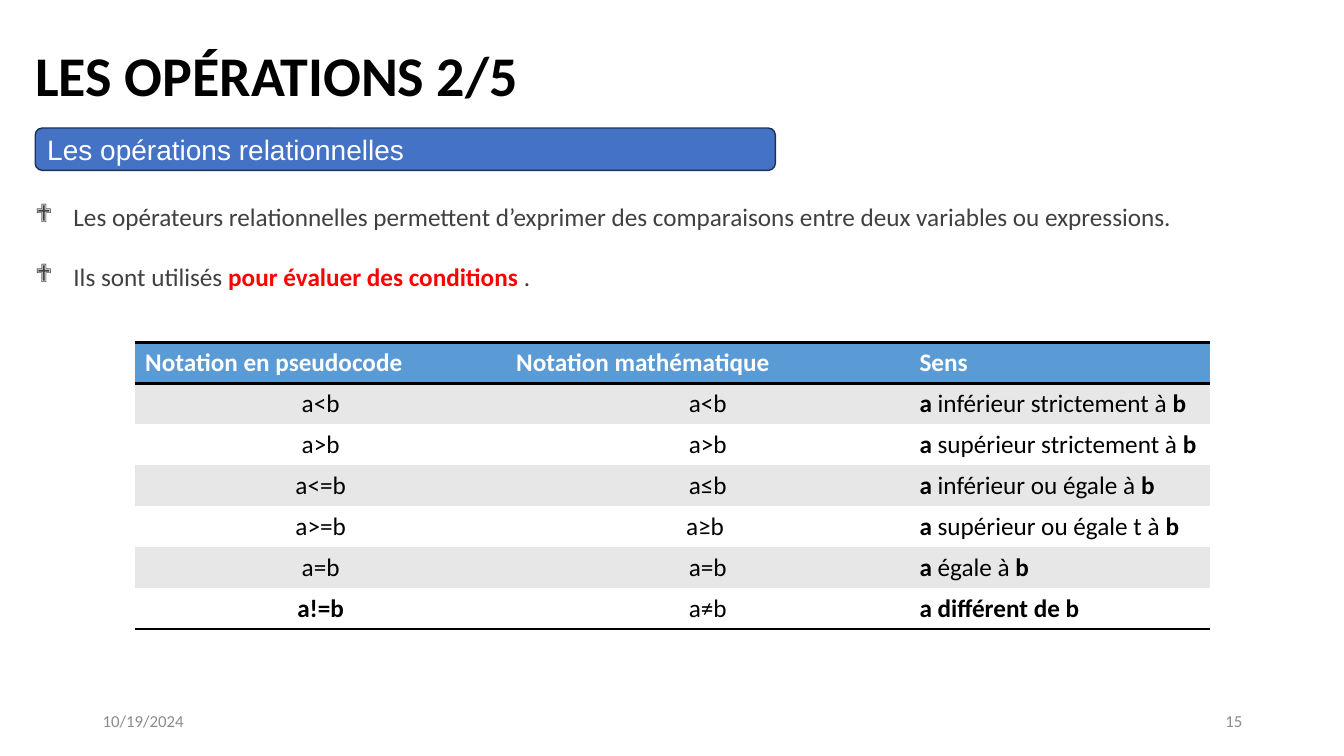
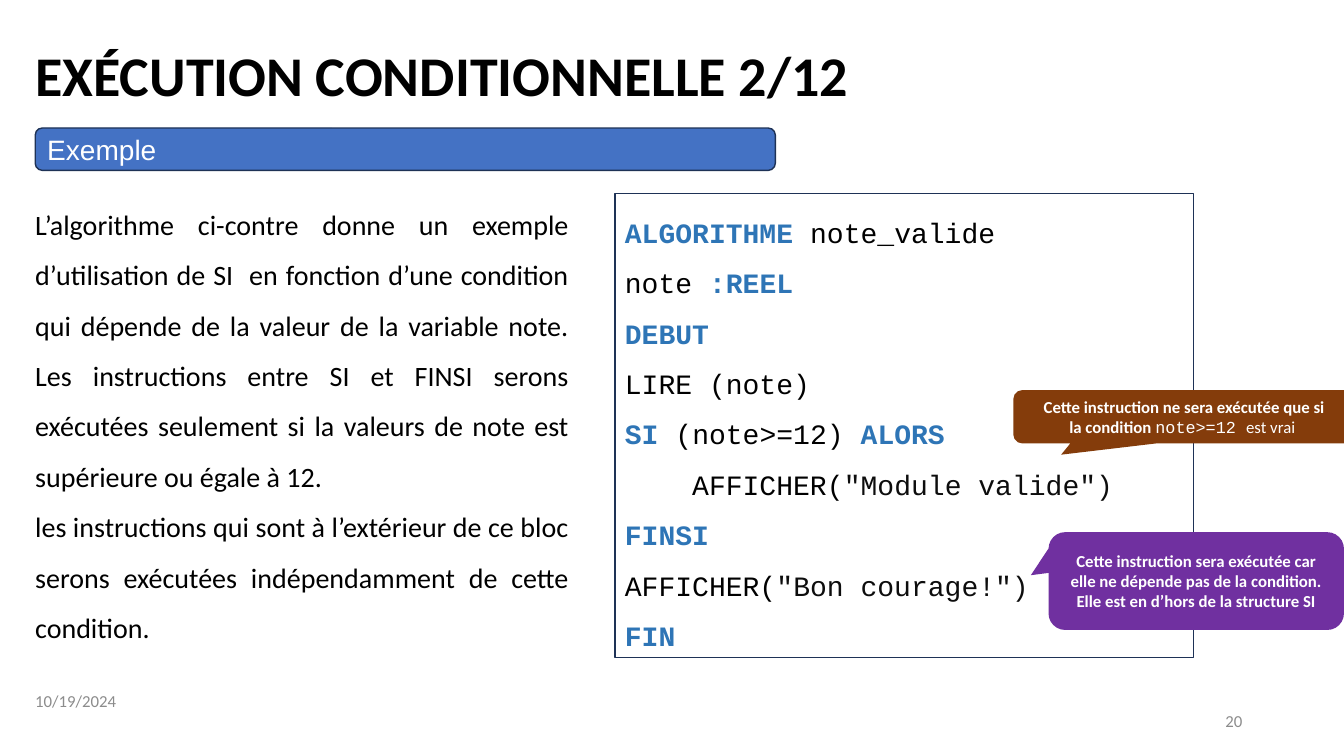
from lxml import etree
from pptx import Presentation
from pptx import util as u
from pptx.dml.color import RGBColor
from pptx.enum import shapes, text
from pptx.oxml.ns import qn

COLORS = {
    "black": "000000", "white": "FFFFFF", "gray": "404040", "footer": "8C8C8C",
    "red": "FF0000", "band": "4472C4", "outline": "1E3256", "header": "5B9BD5",
    "stripe": "E7E7E7", "keyword": "2E75B6", "literal": "0D0D0D",
    "brown": "843C0B", "purple": "7030A0",
}
STYLES = {
    "title": ("Calibri", 40, "black", True),
    "band": ("Arial", 20, "white", False),
    "bullet": ("Calibri", 18, "gray", False),
    "alert": ("Calibri", 18, "red", True),
    "footer": ("Calibri", 12, "footer", False),
    "header": ("Calibri", 18, "white", True),
    "cell": ("Calibri", 18, "black", False),
    "strong": ("Calibri", 18, "black", True),
    "body": ("Calibri", 20, "black", False),
    "keyword": ("Courier New", 20, "keyword", True),
    "code": ("Courier New", 20, "black", False),
    "literal": ("Courier New", 20, "literal", False),
    "note": ("Calibri", 12, "white", True),
    "note_code": ("Courier New", 12, "white", False),
    "note_plain": ("Calibri", 12, "white", False),
}
BREAK = ("", "break")
LEFT, CENTER, RIGHT, JUSTIFY = (
    text.PP_ALIGN.LEFT, text.PP_ALIGN.CENTER, text.PP_ALIGN.RIGHT, text.PP_ALIGN.JUSTIFY)

OPERATIONS = {"title": "LES OPÉRATIONS 2/5", "band": "Les opérations relationnelles",
              "number": "15", "date_at": (0.92, 6.95)}
CONDITION = {"title": "EXÉCUTION CONDITIONNELLE 2/12", "band": "Exemple",
             "number": "20", "date_at": (0.25, 6.75)}
DATE = "10/19/2024"
BULLETS = [
    [("Les opérateurs relationnelles permettent d’exprimer des comparaisons entre deux variables ou expressions.", "bullet")],
    [("Ils sont utilisés ", "bullet"), ("pour évaluer des conditions ", "alert"), (".", "bullet")],
]
TABLE_HEADER = ["Notation en pseudocode", "Notation mathématique", "Sens"]
OPERATORS = [
    ("a<b", "a<b", " inférieur strictement à "),
    ("a>b", "a>b", " supérieur strictement à "),
    ("a<=b", "a≤b", " inférieur ou égale à "),
    ("a>=b", "a≥b ", " supérieur ou égale t à "),
    ("a=b", "a=b", " égale à "),
    ("a!=b", "a≠b", " différent de "),
]
COLUMN_WIDTHS = [3.68, 4, 2.98]
EXPLANATION = [
    [("L’algorithme ci-contre donne un exemple d’utilisation de SI  en fonction d’une condition qui dépende de la valeur de la variable note. Les instructions entre SI et FINSI serons exécutées seulement si la valeurs de note est supérieure ou égale à 12. ", "body")],
    [("les instructions qui sont à l’extérieur de ce bloc serons exécutées indépendamment de cette condition.", "body")],
]
ALGORITHM = [
    [("ALGORITHME ", "keyword"), ("note_valide", "code")],
    [("note", "code"), (" :REEL", "keyword")],
    [("DEBUT", "keyword")],
    [("LIRE (note)", "code")],
    [("SI ", "keyword"), ("(note>=12) ", "code"), ("ALORS", "keyword")],
    [("    AFFICHER(", "code"), ('"Module valide")', "literal")],
    [("FINSI", "keyword")],
    [("AFFICHER(", "code"), ('"Bon courage!")', "literal")],
    [("FIN", "keyword")],
]
CALLOUTS = [
    ((10.05, 3.87, 3.39, 0.53), (-0.36, 0.71, 0.17), "brown",
     [("Cette instruction ne sera exécutée que si", "note"), BREAK,
      ("la condition ", "note"), ("note>=12 ", "note_code"), ("est vrai ", "note_plain")]),
    ((10.4, 5.28, 2.93, 0.97), (-0.56, -0.06, 0.17), "purple",
     [("Cette instruction sera exécutée car elle ne dépende pas de la condition. Elle est en d’hors de la structure SI", "note")]),
]


def color(name):
    return RGBColor.from_string(COLORS[name])


def inches(values):
    return [u.Inches(value) for value in values]


def write(frame, paragraphs, align=LEFT, anchor=text.MSO_ANCHOR.TOP, spacing=None):
    frame.word_wrap = True
    frame.auto_size = text.MSO_AUTO_SIZE.NONE
    frame.vertical_anchor = anchor
    write_paragraphs(frame, paragraphs, align, spacing)


def write_paragraphs(frame, paragraphs, align=LEFT, spacing=None):
    for index, segments in enumerate(paragraphs):
        paragraph = frame.add_paragraph() if index else frame.paragraphs[0]
        paragraph.alignment = align
        if spacing:
            paragraph.line_spacing = spacing
        for words, style in segments:
            if style == "break":
                paragraph.add_line_break()
                continue
            run = paragraph.add_run()
            run.text = words
            name, size, tint, bold = STYLES[style]
            run.font.name, run.font.size, run.font.bold = name, u.Pt(size), bold
            run.font.color.rgb = color(tint)


def add_text(slide, box, paragraphs, **layout):
    shape = slide.shapes.add_textbox(*inches(box))
    write(shape.text_frame, paragraphs, **layout)
    return shape


def add_box(slide, kind, box, fill=None, line=None, width=1):
    shape = slide.shapes.add_shape(kind, *inches(box))
    shape.shadow.inherit = False
    if fill:
        shape.fill.solid()
        shape.fill.fore_color.rgb = color(fill)
    else:
        shape.fill.background()
    if line:
        shape.line.color.rgb = color(line)
        shape.line.width = u.Pt(width)
    else:
        shape.line.fill.background()
    return shape


def start_slide(presentation, content):
    slide = presentation.slides.add_slide(presentation.slide_layouts[5])
    title = slide.shapes.title
    title.left, title.top, title.width, title.height = inches((0.25, 0.35, 11.5, 0.77))
    write(title.text_frame, [[(content["title"], "title")]])
    middle = text.MSO_ANCHOR.MIDDLE
    band = add_box(slide, shapes.MSO_SHAPE.ROUNDED_RECTANGLE,
                   (0.35, 1.27, 7.34, 0.42), "band", "outline")
    write(band.text_frame, [[(content["band"], "band")]], anchor=middle)
    add_text(slide, (*content["date_at"], 3, 0.4), [[(DATE, "footer")]], anchor=middle)
    add_text(slide, (9.42, 6.95, 3, 0.4), [[(content["number"], "footer")]],
             align=RIGHT, anchor=middle)
    return slide


def add_bullets(slide):
    shape = add_text(slide, (0.25, 1.95, 12.79, 1.38), BULLETS)
    for index, paragraph in enumerate(shape.text_frame.paragraphs):
        properties = paragraph._p.get_or_add_pPr()
        properties.set("marL", str(u.Inches(0.38)))
        properties.set("indent", str(u.Inches(-0.38)))
        etree.SubElement(properties, qn("a:buFont"), typeface="Wingdings")
        etree.SubElement(properties, qn("a:buChar"), char="❖")
        if index:
            paragraph.space_before = u.Pt(21)


def add_border(cell, side):
    properties = cell._tc.get_or_add_tcPr()
    line = etree.Element(qn("a:" + side), w=str(u.Pt(2)))
    fill = etree.SubElement(line, qn("a:solidFill"))
    etree.SubElement(fill, qn("a:srgbClr"), val=COLORS["black"])
    properties.insert(0, line)


def add_operator_table(slide):
    rows = [[[(label, "header")] for label in TABLE_HEADER]]
    for index, (pseudocode, notation, meaning) in enumerate(OPERATORS, 1):
        last = "strong" if index == len(OPERATORS) else "cell"
        rows.append([[(pseudocode, last)], [(notation, "cell")],
                     [("a", "strong"), (meaning, last), ("b", "strong")]])
    box = (1.34, 3.4, sum(COLUMN_WIDTHS), 2.83)
    table = slide.shapes.add_table(len(rows), len(COLUMN_WIDTHS), *inches(box)).table
    table.horz_banding = False
    style = table._tbl.tblPr.find(qn("a:tableStyleId"))
    style.text = "{2D5ABB26-0587-4C30-8999-92F81FD0307C}"
    for column, width in zip(table.columns, COLUMN_WIDTHS):
        column.width = u.Inches(width)
    for row_index, row in enumerate(rows):
        fill = "header" if row_index == 0 else ("white", "stripe")[row_index % 2]
        for column_index, segments in enumerate(row):
            cell = table.cell(row_index, column_index)
            cell.fill.solid()
            cell.fill.fore_color.rgb = color(fill)
            centered = row_index and column_index < 2
            write_paragraphs(cell.text_frame, [segments], CENTER if centered else LEFT)
            if row_index in (0, len(rows) - 1):
                add_border(cell, "lnB")
            if row_index == 0:
                add_border(cell, "lnT")


def add_algorithm(slide):
    add_text(slide, (0.25, 1.84, 5.49, 5.6), EXPLANATION, align=JUSTIFY, spacing=1.5)
    listing = add_box(slide, shapes.MSO_SHAPE.RECTANGLE, (6.1, 1.92, 5.74, 4.6),
                      line="outline", width=0.75)
    write(listing.text_frame, ALGORITHM, spacing=1.5)
    for box, adjustments, fill, segments in CALLOUTS:
        callout = add_box(slide, shapes.MSO_SHAPE.ROUNDED_RECTANGULAR_CALLOUT, box, fill)
        for index, value in enumerate(adjustments):
            callout.adjustments[index] = value
        write(callout.text_frame, [segments], CENTER, text.MSO_ANCHOR.MIDDLE)


def main():
    presentation = Presentation()
    presentation.slide_width, presentation.slide_height = inches((13.33, 7.5))
    operations = start_slide(presentation, OPERATIONS)
    add_bullets(operations)
    add_operator_table(operations)
    add_algorithm(start_slide(presentation, CONDITION))
    presentation.save("out.pptx")


if __name__ == "__main__":
    main()
